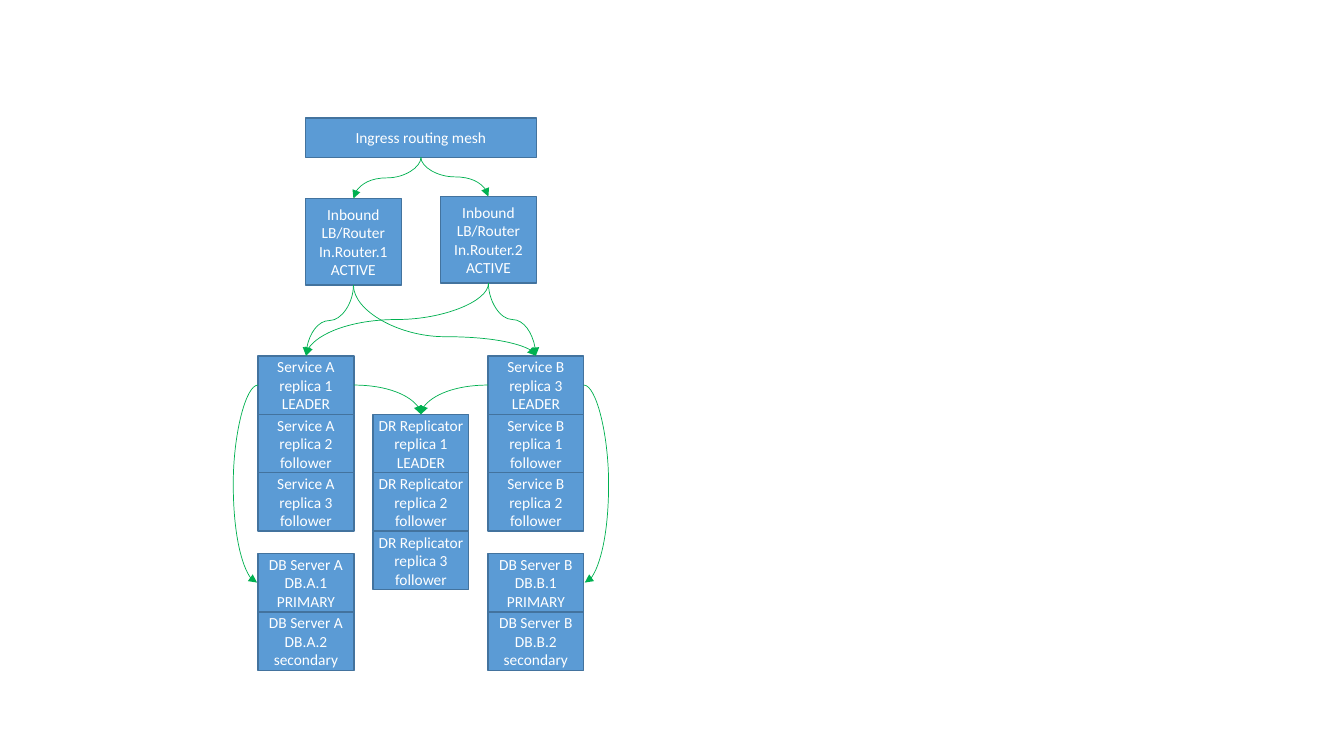
"""Build a slide that maps request routing to services and databases."""
from lxml import etree
from pptx import Presentation
from pptx.dml.color import RGBColor
from pptx.enum.shapes import MSO_CONNECTOR, MSO_SHAPE
from pptx.enum.text import MSO_ANCHOR, PP_ALIGN
from pptx.oxml.ns import qn
from pptx.util import Inches, Pt

CURVE, RECT = MSO_CONNECTOR.CURVE, MSO_SHAPE.RECTANGLE
MIDDLE, CENTER = MSO_ANCHOR.MIDDLE, PP_ALIGN.CENTER
BLUE = RGBColor(0x5B, 0x9B, 0xD5)
NAVY = RGBColor(0x43, 0x73, 0x9E)
GREEN = RGBColor(0x00, 0xB0, 0x50)
WHITE = RGBColor(0xFF, 0xFF, 0xFF)

WIDE, ROW, TALL = 0.95, 0.58, 0.86
LEFT, MID, RIGHT = (2.56 + 1.14 * i for i in range(3))
TOP, DATA = 3.53, 5.49
BULGE, NUDGE = 0.25, 0.01

STACKS = [
    (LEFT, TOP, WIDE, ROW, ["Service A\nreplica 1\nLEADER",
                            "Service A\nreplica 2\nfollower",
                            "Service A\nreplica 3\nfollower"]),
    (RIGHT, TOP, WIDE, ROW, ["Service B\nreplica 3\nLEADER",
                             "Service B\nreplica 1\nfollower",
                             "Service B\nreplica 2\nfollower"]),
    (MID, TOP + ROW, WIDE, ROW, ["DR Replicator\nreplica 1\nLEADER",
                                 "DR Replicator\nreplica 2\nfollower",
                                 "DR Replicator\nreplica 3\nfollower"]),
    (3.03, 1.97, WIDE, TALL, ["Inbound\nLB/Router\nIn.Router.1\nACTIVE"]),
    (4.37, 1.95, WIDE, TALL, ["Inbound\nLB/Router\nIn.Router.2\nACTIVE"]),
    (3.03, 1.17, 2.29, 0.39, ["Ingress routing mesh"]),
    (LEFT, DATA, WIDE, ROW, ["DB Server A\nDB.A.1\nPRIMARY",
                             "DB Server A\nDB.A.2\nsecondary"]),
    (RIGHT, DATA, WIDE, ROW, ["DB Server B\nDB.B.1\nPRIMARY",
                              "DB Server B\nDB.B.2\nsecondary"]),
]


def add_box(left, top, width, height, text):
    box = slide.shapes.add_shape(RECT, *map(Inches, (left, top, width, height)))
    box.shadow.inherit = False
    box.fill.solid()
    box.fill.fore_color.rgb = BLUE
    box.line.color.rgb = NAVY
    box.line.width = Pt(1)
    frame = box.text_frame
    frame.word_wrap = True
    frame.vertical_anchor = MIDDLE
    frame.margin_left = frame.margin_right = 0
    frame.margin_top = frame.margin_bottom = 0
    para = frame.paragraphs[0]
    para.text = text
    para.alignment = CENTER
    para.font.name = "Calibri"
    para.font.size = Pt(11)
    para.font.color.rgb = WHITE
    return box


def add_curve(start, end, preset="curvedConnector3", bend=None):
    curve = slide.shapes.add_connector(CURVE, *map(Inches, start + end))
    curve.line.color.rgb = GREEN
    curve.line.width = Pt(0.5)
    props = curve._element.spPr
    geom = props.find(qn("a:prstGeom"))
    geom.set("prst", preset)
    if bend is not None:
        etree.SubElement(geom.find(qn("a:avLst")), qn("a:gd"),
                         name="adj1", fmla=f"val {round(bend * 100000)}")
    etree.SubElement(props.find(qn("a:ln")), qn("a:tailEnd"), type="triangle")
    etree.SubElement(props, qn("a:effectLst"))
    return curve


def add_drop(start, end, bend=0.5):
    (x1, y1), (x2, y2) = start, end
    mid_x, mid_y = (x1 + x2) / 2, (y1 + y2) / 2
    side = 1 if x2 < x1 else -1
    half, rise = side * (y2 - y1) / 2, abs(x2 - x1) / 2
    curve = add_curve((mid_x - half, mid_y - rise),
                      (mid_x + half, mid_y + rise), bend=bend)
    angle = 90 if side > 0 else 270
    curve._element.spPr.find(qn("a:xfrm")).set("rot", str(angle * 60000))


def head(stack):
    left, top, width = stack[:3]
    return left + width / 2, top


def foot(stack):
    left, top, width, height = stack[:4]
    return left + width / 2, top + height


deck = Presentation()
deck.slide_width, deck.slide_height = Inches(13.33), Inches(7.5)
slide = deck.slides.add_slide(deck.slide_layouts[6])

for left, top, width, height, texts in STACKS:
    for i, text in enumerate(texts):
        add_box(left, top + i * height, width, height, text)

serve_a, serve_b, copier, in_one, in_two, mesh = STACKS[:6]
for start, end, bend in [(mesh, in_one, 0.5), (mesh, in_two, 0.5),
                         (in_one, serve_a, 0.5), (in_one, serve_b, 0.73),
                         (in_two, serve_a, 0.5), (in_two, serve_b, 0.5)]:
    add_drop(foot(start), head(end), bend)

lead, main = TOP + ROW / 2, DATA + ROW / 2
for inner, outer, sign in [(LEFT + WIDE, LEFT, -1), (RIGHT, RIGHT + WIDE, 1)]:
    add_curve((inner, lead), head(copier), "curvedConnector2")
    add_curve((outer, lead), (outer + sign * NUDGE, main), bend=BULGE / NUDGE)

deck.save("out.pptx")
